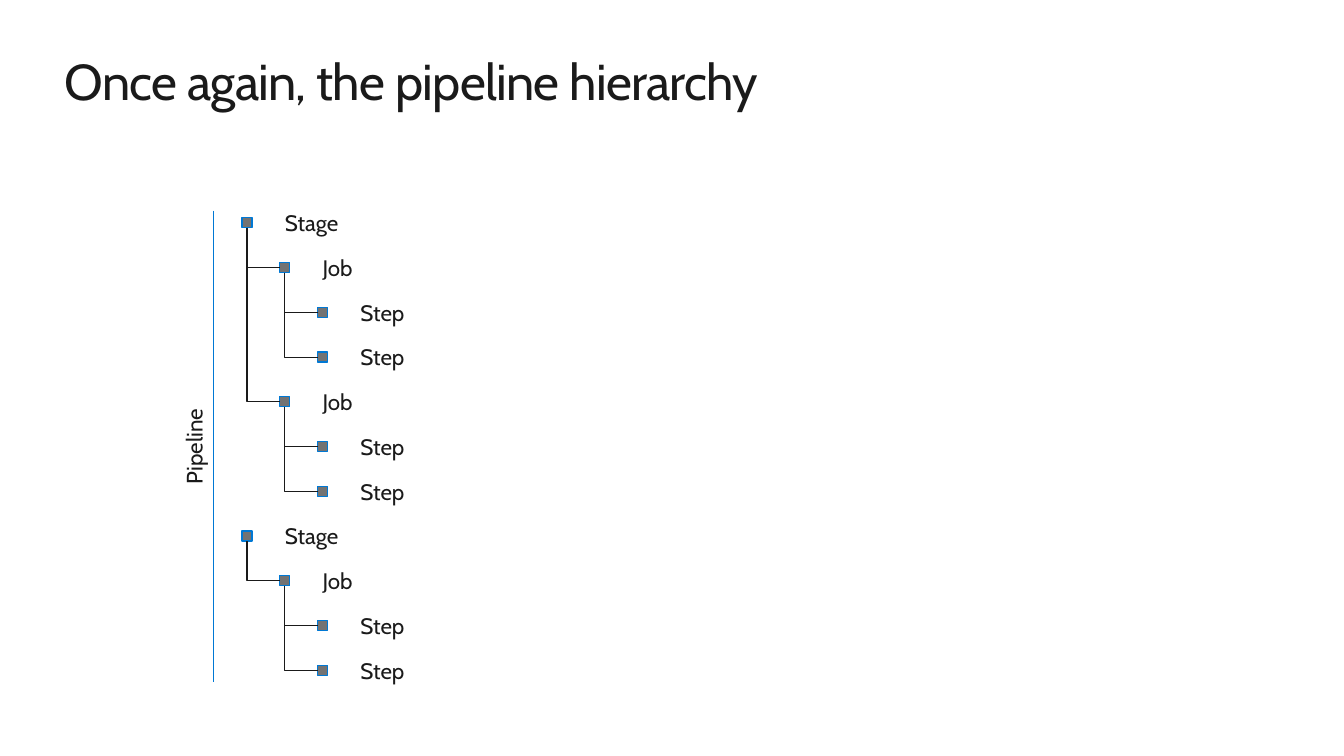
from dataclasses import dataclass
from lxml.etree import SubElement
from pptx import Presentation
from pptx.dml.color import RGBColor
from pptx.enum.shapes import MSO_CONNECTOR as Link, MSO_SHAPE as Shape
from pptx.enum.text import MSO_ANCHOR as Anchor, MSO_AUTO_SIZE as Fit, PP_ALIGN as Align
from pptx.oxml.ns import qn
from pptx.util import Pt

TITLE = "Once again, the pipeline hierarchy"
SIDE_LABEL = "Pipeline"
HIERARCHY = [
    (0, "Stage"),
    (1, "Job"),
    (2, "Step"),
    (2, "Step"),
    (1, "Job"),
    (2, "Step"),
    (2, "Step"),
    (0, "Stage"),
    (1, "Job"),
    (2, "Step"),
    (2, "Step"),
]


@dataclass(frozen=True)
class Theme:
    ink: RGBColor = RGBColor(0x1A, 0x1A, 0x1A)
    marker: RGBColor = RGBColor(0x73, 0x73, 0x73)
    accent: RGBColor = RGBColor(0x00, 0x78, 0xD4)
    font: str = "Cabin"
    title_size: int = 36
    label_size: int = 16
    line: float = 0.75
    marker_line: float = 0.85


THEME = Theme()
PX = 9144
SLIDE = (1333, 750)
TITLE_BOX = (64, 50, 1205, 61)
SIDE_BOX = (92, 428, 200, 30)
RAIL = (212, 209, 212, 677)
TREE_LEFT, TREE_TOP = 240, 216
INDENT, ROW_PITCH = 37.5, 44.4
MARKER = 10
LABEL_WIDTH, LABEL_HEIGHT = 200, 30


def emu(*lengths):
    return [round(length * PX) for length in lengths]


def style_text(para, size, align):
    para.alignment = align
    para.font.name = THEME.font
    para.font.size = Pt(size)
    para.font.color.rgb = THEME.ink


def add_label(page, text, area, align=Align.LEFT):
    box = page.shapes.add_textbox(*emu(*area))
    frame = box.text_frame
    frame.word_wrap = True
    frame.vertical_anchor = Anchor.MIDDLE
    frame.margin_left = frame.margin_right = 5 * PX
    frame.margin_top = frame.margin_bottom = 0
    frame.text = text
    style_text(frame.paragraphs[0], THEME.label_size, align)
    return box


def add_line(page, kind, ends, color):
    line = page.shapes.add_connector(kind, *emu(*ends))
    line.line.color.rgb = color
    line.line.width = Pt(THEME.line)
    SubElement(line._element.spPr, qn("a:effectLst"))
    return line


def add_branch(page, parent, child):
    start_x, start_y = parent[0] + MARKER / 2, parent[1] + MARKER
    end_x, end_y = child[0], child[1] + MARKER / 2
    middle_x, middle_y = (start_x + end_x) / 2, (start_y + end_y) / 2
    half_run, half_drop = (end_x - start_x) / 2, (end_y - start_y) / 2
    ends = (middle_x + half_drop, middle_y - half_run,
            middle_x - half_drop, middle_y + half_run)
    branch = add_line(page, Link.ELBOW, ends, THEME.ink)
    properties = branch._element.spPr
    properties.find(qn("a:xfrm")).set("rot", "16200000")
    properties.find(qn("a:prstGeom")).set("prst", "bentConnector2")


def add_marker(page, left, top):
    marker = page.shapes.add_shape(Shape.RECTANGLE, *emu(left, top, MARKER, MARKER))
    marker.shadow.inherit = False
    marker.fill.solid()
    marker.fill.fore_color.rgb = THEME.marker
    marker.line.color.rgb = THEME.accent
    marker.line.width = Pt(THEME.marker_line)


def add_title(page):
    title = page.shapes.title
    title.left, title.top, title.width, title.height = emu(*TITLE_BOX)
    frame = title.text_frame
    frame.margin_left = frame.margin_right = frame.margin_top = frame.margin_bottom = 0
    frame.vertical_anchor = Anchor.TOP
    frame.word_wrap = True
    frame.auto_size = Fit.SHAPE_TO_FIT_TEXT
    frame.text = TITLE
    para = frame.paragraphs[0]
    style_text(para, THEME.title_size, Align.LEFT)
    para.runs[0].font._element.set("spc", "-50")


def add_tree(page):
    branches, ancestors = [], {}
    for row, (level, name) in enumerate(HIERARCHY):
        left, top = TREE_LEFT + level * INDENT, TREE_TOP + row * ROW_PITCH
        add_marker(page, left, top)
        label_top = top + (MARKER - LABEL_HEIGHT) / 2
        add_label(page, name, (left + INDENT, label_top, LABEL_WIDTH, LABEL_HEIGHT))
        ancestors[level] = (left, top)
        if level:
            branches.append((ancestors[level - 1], (left, top)))
    for parent, child in branches:
        add_branch(page, parent, child)


def main():
    deck = Presentation()
    deck.slide_width, deck.slide_height = emu(*SLIDE)
    page = deck.slides.add_slide(deck.slide_layouts[5])
    add_title(page)
    add_line(page, Link.STRAIGHT, RAIL, THEME.accent)
    add_tree(page)
    add_label(page, SIDE_LABEL, SIDE_BOX, Align.CENTER).rotation = 270
    deck.save("out.pptx")


if __name__ == "__main__":
    main()
